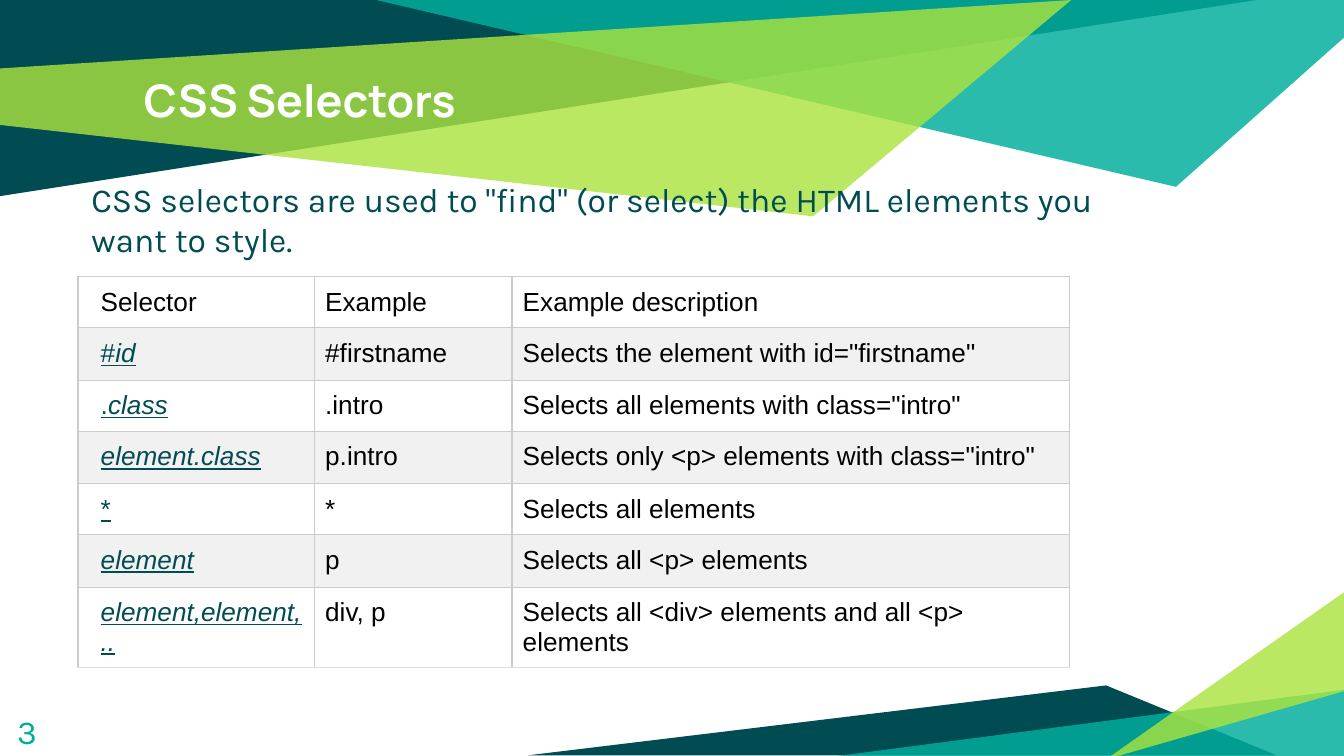
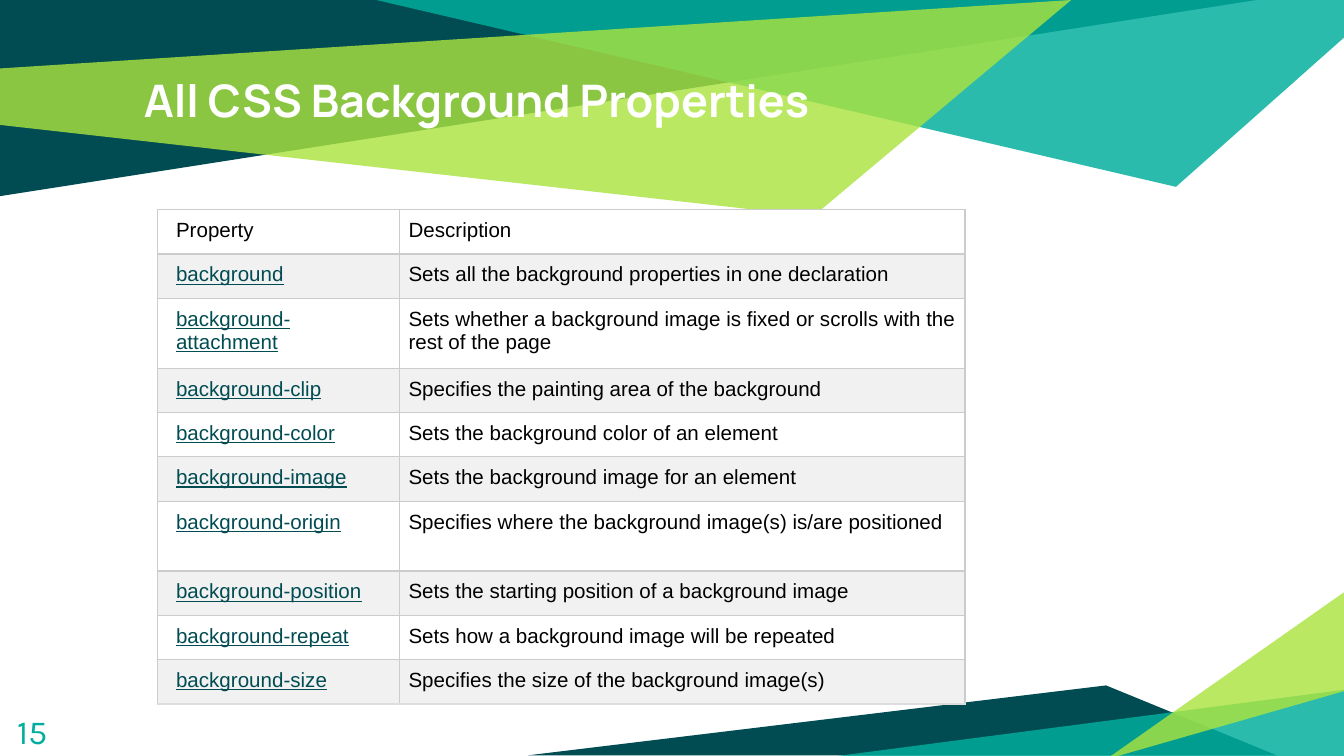
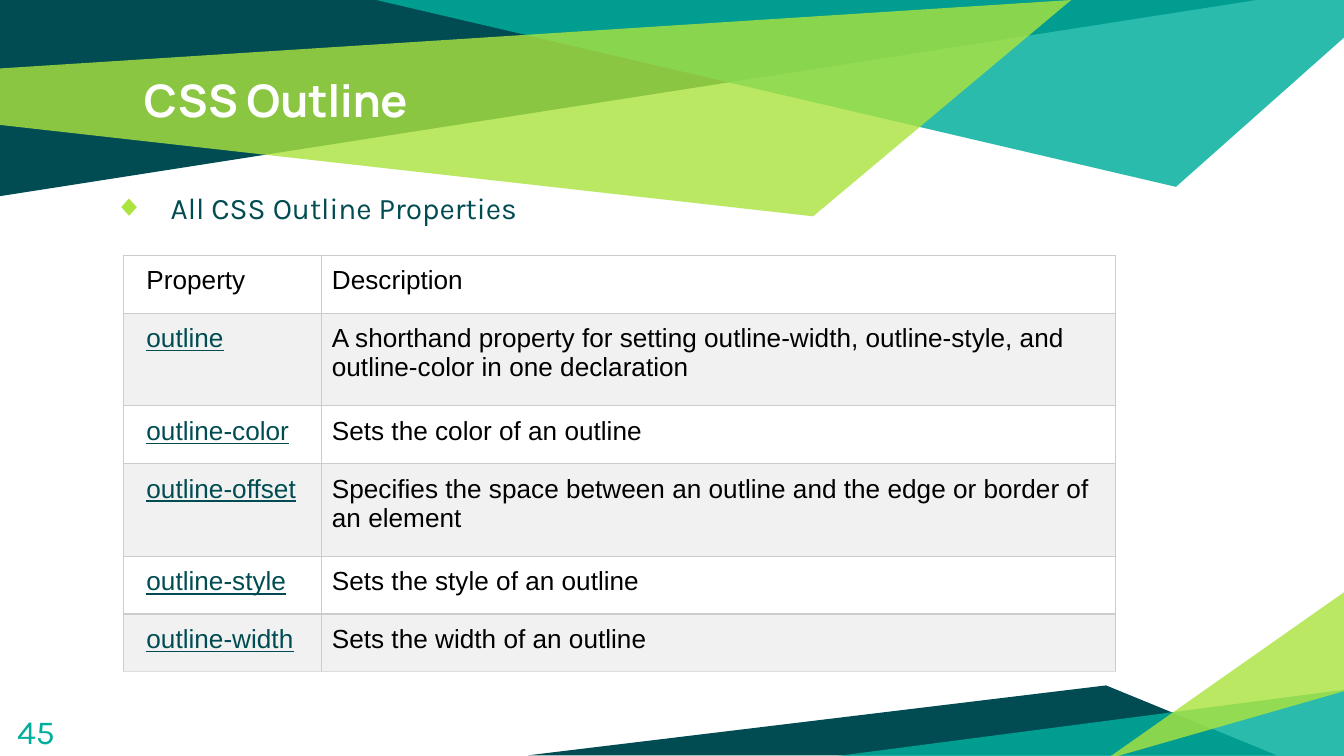
"""Build three CSS reference slides, each with a title, a page number and a table."""
from lxml.etree import SubElement
from pptx import Presentation
from pptx.dml.color import RGBColor
from pptx.enum.text import MSO_ANCHOR, MSO_AUTO_SIZE, PP_ALIGN
from pptx.oxml.ns import qn
from pptx.util import Inches, Pt

COLORS = {
    "dark": "004C52", "teal": "00AE9D", "lime": "ABE33F", "white": "FFFFFF",
    "stripe": "F1F1F1", "black": "000000", "border": "CCCCCC", "last_border": "DDDDDD",
}
FONTS = {"title": "Manrope", "body": "Karla", "table": "Arial"}
TITLE_ONLY, TITLE_AND_BODY = 5, 1

BANDS = [
    ("dark", 100, [(0, 0), (0, 1.46), (9.35, 0)]),
    ("teal", 83, [(2.8, 0), (8.75, 1.39), (10, 0.28), (10, 0)]),
    ("lime", 81, [(-0.01, 0.51), (0, 0.93), (6.05, 1.61), (7.97, 0)]),
    ("dark", 100, [(3.93, 5.62), (9.5, 5.62), (8.23, 5.1)]),
    ("teal", 83, [(10.02, 5.13), (10.02, 5.65), (6.04, 5.65)]),
    ("lime", 81, [(10.01, 5.14), (10.01, 4.4), (8.23, 5.65)]),
]

PAGES = [
    {
        "title": "CSS Selectors",
        "number": "3",
        "body": {
            "text": 'CSS selectors are used to "find" (or select) the HTML elements you want to style.',
            "at": (0.5, 1.23, 8.06, 4.33), "size": 18, "bullet": None, "indent": (0.08, 0),
        },
        "table": {
            "at": (0.58, 2.06), "columns": [1.76, 1.47, 4.15], "size": 14,
            "margin": 0.08, "first_margin": 0.17, "right_margin": 0.08,
            "heights": [0.38, 0.39] * 3 + [0.6],
            "header": ["Selector", "Example", "Example description"],
            "rows": [
                (("#", "id"), "#firstname", 'Selects the element with id="firstname"'),
                ((".", "class"), ".intro", 'Selects all elements with class="intro"'),
                (("", "element.class"), "p.intro", 'Selects only <p> elements with class="intro"'),
                (("*", ""), "*", "Selects all elements"),
                (("", "element"), "p", "Selects all <p> elements"),
                (("", "element,element,.."), "div, p", "Selects all <div> elements and all <p> elements"),
            ],
        },
    },
    {
        "title": "All CSS Background Properties",
        "number": "15",
        "body": None,
        "table": {
            "at": (1.17, 1.56), "columns": [1.8, 4.21], "size": 11,
            "margin": 0.07, "first_margin": 0.14, "right_margin": 0.06,
            "heights": [0.33, 0.33, 0.52, 0.33, 0.33, 0.33, 0.52, 0.33, 0.33, 0.33],
            "header": ["Property", "Description"],
            "rows": [
                (("background", ""), "Sets all the background properties in one declaration"),
                (("background-attachment", ""),
                 "Sets whether a background image is fixed or scrolls with the rest of the page"),
                (("background-clip", ""), "Specifies the painting area of the background"),
                (("background-color", ""), "Sets the background color of an element"),
                (("background-image", ""), "Sets the background image for an element"),
                (("background-origin", ""), "Specifies where the background image(s) is/are positioned"),
                (("background-position", ""), "Sets the starting position of a background image"),
                (("background-repeat", ""), "Sets how a background image will be repeated"),
                (("background-size", ""), "Specifies the size of the background image(s)"),
            ],
        },
    },
    {
        "title": "CSS Outline",
        "number": "45",
        "body": {
            "text": "All CSS Outline Properties",
            "at": (0.67, 1.31, 8.06, 3.81), "size": 16, "bullet": "◆", "indent": (0.5, -0.42),
        },
        "table": {
            "at": (0.92, 1.9), "columns": [1.47, 5.91], "size": 14,
            "margin": 0.08, "first_margin": 0.17, "right_margin": 0.08,
            "heights": [0.43, 0.69, 0.43, 0.69, 0.43, 0.43],
            "header": ["Property", "Description"],
            "rows": [
                (("outline", ""),
                 "A shorthand property for setting outline-width, outline-style, and outline-color in one declaration"),
                (("outline-color", ""), "Sets the color of an outline"),
                (("outline-offset", ""), "Specifies the space between an outline and the edge or border of an element"),
                (("outline-style", ""), "Sets the style of an outline"),
                (("outline-width", ""), "Sets the width of an outline"),
            ],
        },
    },
]


def rgb(name):
    return RGBColor.from_string(COLORS[name])


def style_span(span, font, size, color, bold=False):
    span.font.name = FONTS[font]
    span.font.size = Pt(size)
    span.font.bold = bold
    span.font.color.rgb = rgb(color)


def fill_box(box, at, text, font, size, color, bold=False):
    box.left, box.top, box.width, box.height = map(Inches, at)
    frame = box.text_frame
    frame.text = text
    frame.word_wrap = True
    frame.auto_size = MSO_AUTO_SIZE.NONE
    frame.vertical_anchor = MSO_ANCHOR.TOP
    frame.margin_left = frame.margin_right = frame.margin_top = frame.margin_bottom = Inches(0.1)
    para = frame.paragraphs[0]
    para.alignment = PP_ALIGN.LEFT
    style_span(para.runs[0], font, size, color, bold)
    return para


def add_bands(deck, page):
    """Draw the bands on a page and move them behind the master's placeholders."""
    master_tree = deck.slide_master.shapes.element
    for index, (color, opacity, points) in enumerate(BANDS):
        corners = [(Inches(x), Inches(y)) for x, y in points]
        builder = page.shapes.build_freeform(*corners[0])
        builder.add_line_segments(corners[1:], close=True)
        band = builder.convert_to_shape()
        band.shadow.inherit = False
        band.fill.solid()
        band.fill.fore_color.rgb = rgb(color)
        band.line.fill.background()
        if opacity < 100:
            paint = band.element.spPr.find(qn("a:solidFill")).find(qn("a:srgbClr"))
            SubElement(paint, qn("a:alpha"), val=str(opacity * 1000))
        band.element.nvSpPr.cNvPr.set("id", str(20 + index))
        master_tree.insert(2 + index, band.element)


def add_body(page, body):
    para = fill_box(page.placeholders[1], body["at"], body["text"], "body", body["size"], "dark")
    para.space_before = Pt(6)
    margin, first_line = body["indent"]
    properties = para._p.get_or_add_pPr()
    properties.set("marL", str(Inches(margin)))
    properties.set("indent", str(Inches(first_line)))
    if body["bullet"]:
        bullet_color = SubElement(properties, qn("a:buClr"))
        SubElement(bullet_color, qn("a:srgbClr"), val=COLORS["lime"])
        SubElement(properties, qn("a:buChar"), char=body["bullet"])
    else:
        SubElement(properties, qn("a:buNone"))


def add_borders(cell, is_last):
    properties = cell._tc.get_or_add_tcPr()
    for side in ("lnL", "lnR", "lnT", "lnB"):
        color = "last_border" if is_last and side == "lnB" else "border"
        line = SubElement(properties, qn(f"a:{side}"), w=str(Pt(0.75)))
        SubElement(SubElement(line, qn("a:solidFill")), qn("a:srgbClr"), val=COLORS[color])


def fill_cell(cell, content, size):
    para = cell.text_frame.paragraphs[0]
    if isinstance(content, str):
        para.text = content
        style_span(para.runs[0], "table", size, "black")
        return
    for text, slanted in zip(content, (False, True)):
        if text:
            span = para.add_run()
            span.text = text
            style_span(span, "table", size, "dark")
            span.font.underline = True
            span.font.italic = slanted


def add_reference_table(page, data):
    rows = [data["header"], *data["rows"]]
    columns, heights = data["columns"], data["heights"]
    left, top = data["at"]
    frame = page.shapes.add_table(
        len(rows), len(columns), Inches(left), Inches(top), Inches(sum(columns)), Inches(sum(heights)))
    table = frame.table
    table.first_row = table.horz_banding = False
    for column, width in zip(table.columns, columns):
        column.width = Inches(width)
    for row_index, (row, height) in enumerate(zip(rows, heights)):
        table.rows[row_index].height = Inches(height)
        for column_index, content in enumerate(row):
            cell = table.cell(row_index, column_index)
            fill_cell(cell, content, data["size"])
            cell.margin_top = cell.margin_bottom = Inches(data["margin"])
            cell.margin_left = Inches(data["margin" if column_index else "first_margin"])
            cell.margin_right = Inches(data["right_margin"])
            add_borders(cell, row_index == len(rows) - 1)
            cell.fill.solid()
            cell.fill.fore_color.rgb = rgb("stripe" if row_index % 2 else "white")


def add_page(deck, content):
    layout = TITLE_AND_BODY if content["body"] else TITLE_ONLY
    page = deck.slides.add_slide(deck.slide_layouts[layout])
    fill_box(page.shapes.title, (0.97, 0.44, 8.06, 0.94), content["title"], "title", 24, "white", True)
    if content["body"]:
        add_body(page, content["body"])
    number_box = page.shapes.add_textbox(0, 0, 0, 0)
    fill_box(number_box, (0.03, 5.19, 0.6, 0.43), content["number"], "body", 18, "teal")
    add_reference_table(page, content["table"])
    return page


def main():
    deck = Presentation()
    deck.slide_width = Inches(10)
    deck.slide_height = deck.slide_width * 9 // 16
    pages = [add_page(deck, content) for content in PAGES]
    add_bands(deck, pages[0])
    deck.save("out.pptx")


if __name__ == "__main__":
    main()
